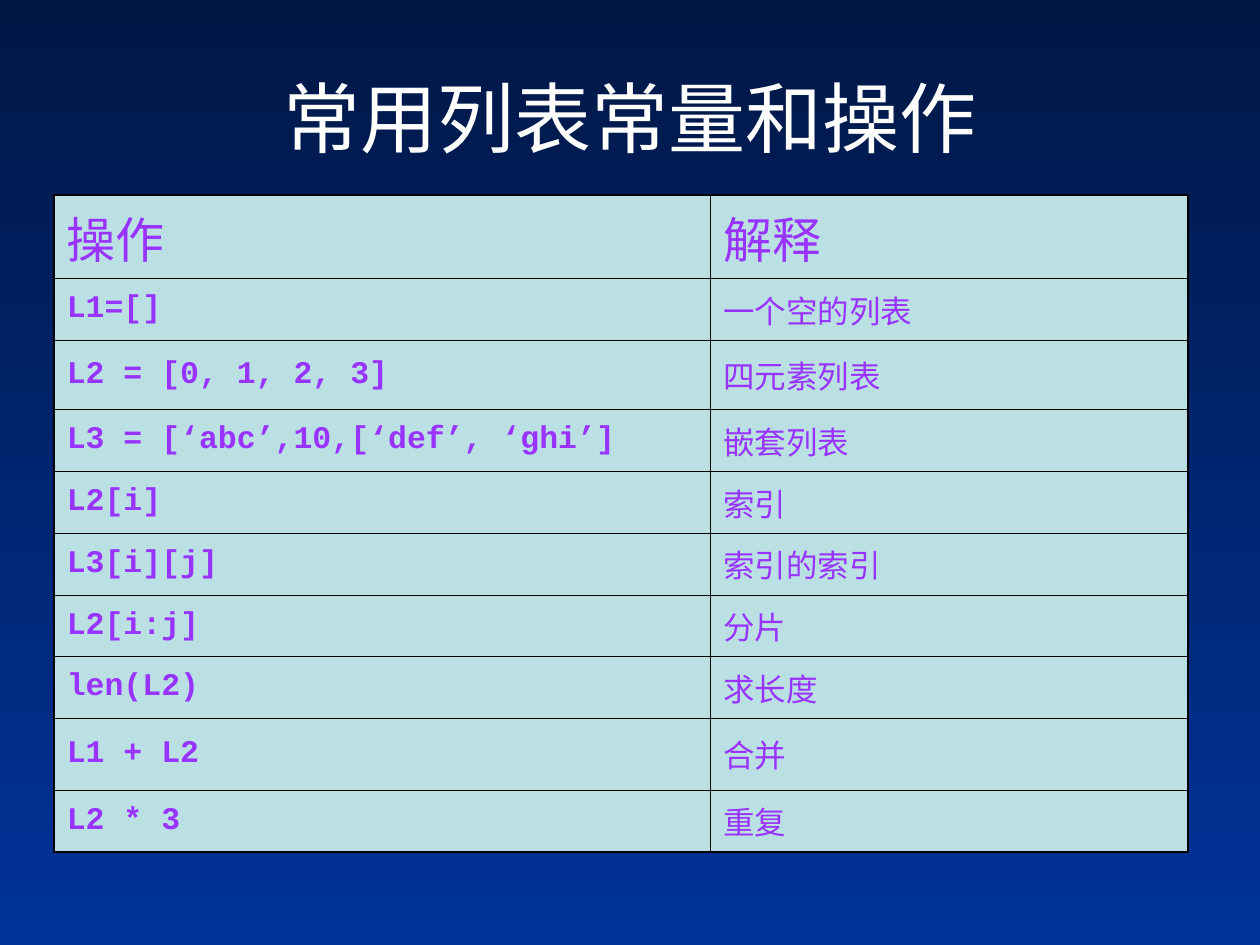
from lxml.etree import SubElement
from pptx import Presentation
from pptx.dml.color import RGBColor
from pptx.enum.text import MSO_ANCHOR as Anchor, PP_ALIGN as Align
from pptx.oxml.ns import qn
from pptx.util import Inches, Pt

CJK = "Noto Sans CJK SC"
CODE = "Courier New"
OPERATIONS = [
    ("操作", "解释"),
    ("L1=[]", "一个空的列表"),
    ("L2 = [0, 1, 2, 3]", "四元素列表"),
    ("L3 = [‘abc’,10,[‘def’, ‘ghi’]", "嵌套列表"),
    ("L2[i]", "索引"),
    ("L3[i][j]", "索引的索引"),
    ("L2[i:j]", "分片"),
    ("len(L2)", "求长度"),
    ("L1 + L2", "合并"),
    ("L2 * 3", "重复"),
]
COLUMN_WIDTHS = [5.21, 3.79]
ROW_HEIGHTS = [0.57, 0.49, 0.55, 0.49, 0.49, 0.49, 0.49, 0.49, 0.57, 0.49]


def rgb(value):
    return RGBColor.from_string(value)


class SlideBuilder:
    """Holds the deck style and draws elements on the current slide."""

    text_color = "9933FF"
    cell_color = "BBE0E3"
    border_color = "000000"
    inner_width, outer_width = Pt(0.45), Pt(1.08)

    def __init__(self, slide):
        self.slide = slide

    def background(self, top, bottom):
        fill = self.slide.background.fill
        fill.gradient()
        fill.gradient_angle = 270
        for stop, color, position in zip(fill.gradient_stops, (top, bottom), (0, 1)):
            stop.color.rgb = rgb(color)
            stop.position = position

    def format_text(self, paragraph, size, color, font_name, bold=False, shadow=False):
        font = paragraph.font
        font.size, font.bold = Pt(size), bold
        font.color.rgb = rgb(color)
        properties = paragraph._p.pPr.find(qn("a:defRPr"))
        if shadow:
            effects = SubElement(properties, qn("a:effectLst"))
            outer = SubElement(effects, qn("a:outerShdw"), dist="38100", dir="2700000")
            SubElement(outer, qn("a:srgbClr"), val="000000")
        font.name = font_name
        SubElement(properties, qn("a:ea"), typeface=font_name)

    def title(self, text, left, top, width, height):
        title = self.slide.shapes.title
        title.left, title.top = Inches(left), Inches(top)
        title.width, title.height = Inches(width), Inches(height)
        frame = title.text_frame
        frame.text = text
        frame.word_wrap = True
        frame.vertical_anchor = Anchor.MIDDLE
        heading = frame.paragraphs[0]
        heading.alignment = Align.CENTER
        self.format_text(heading, 44, "FFFFFF", CJK, shadow=True)

    def borders(self, cell, outer_sides):
        properties = cell._tc.get_or_add_tcPr()
        for side, is_outer in outer_sides.items():
            width = self.outer_width if is_outer else self.inner_width
            line = SubElement(properties, qn(f"a:ln{side}"), w=str(width))
            fill = SubElement(line, qn("a:solidFill"))
            SubElement(fill, qn("a:srgbClr"), val=self.border_color)

    def cell(self, cell, text, size, font_name):
        cell.text = text
        cell.vertical_anchor = Anchor.MIDDLE
        cell.fill.solid()
        cell.fill.fore_color.rgb = rgb(self.cell_color)
        self.format_text(cell.text_frame.paragraphs[0], size, self.text_color,
                         font_name, bold=font_name == CODE)

    def table(self, rows, left, top, widths, heights):
        frame = self.slide.shapes.add_table(
            len(rows), len(widths), Inches(left), Inches(top),
            Inches(sum(widths)), Inches(sum(heights)))
        table = frame.table
        for column, width in zip(table.columns, widths):
            column.width = Inches(width)
        for row, height in zip(table.rows, heights):
            row.height = Inches(height)
        last_row, last_column = len(rows) - 1, len(widths) - 1
        for r, row in enumerate(rows):
            for c, text in enumerate(row):
                cell = table.cell(r, c)
                self.borders(cell, {"L": c == 0, "R": c == last_column,
                                    "T": r == 0, "B": r == last_row})
                self.cell(cell, text, 28 if r == 0 else 18,
                          CODE if r > 0 and c == 0 else CJK)


def main():
    deck = Presentation()
    deck.slide_width, deck.slide_height = Inches(10), Inches(7.5)
    builder = SlideBuilder(deck.slides.add_slide(deck.slide_layouts[5]))
    builder.background("001746", "003399")
    builder.title("常用列表常量和操作", 0.5, 0.3, 9, 1.25)
    builder.table(OPERATIONS, 0.43, 1.55, COLUMN_WIDTHS, ROW_HEIGHTS)
    deck.save("out.pptx")


if __name__ == "__main__":
    main()
